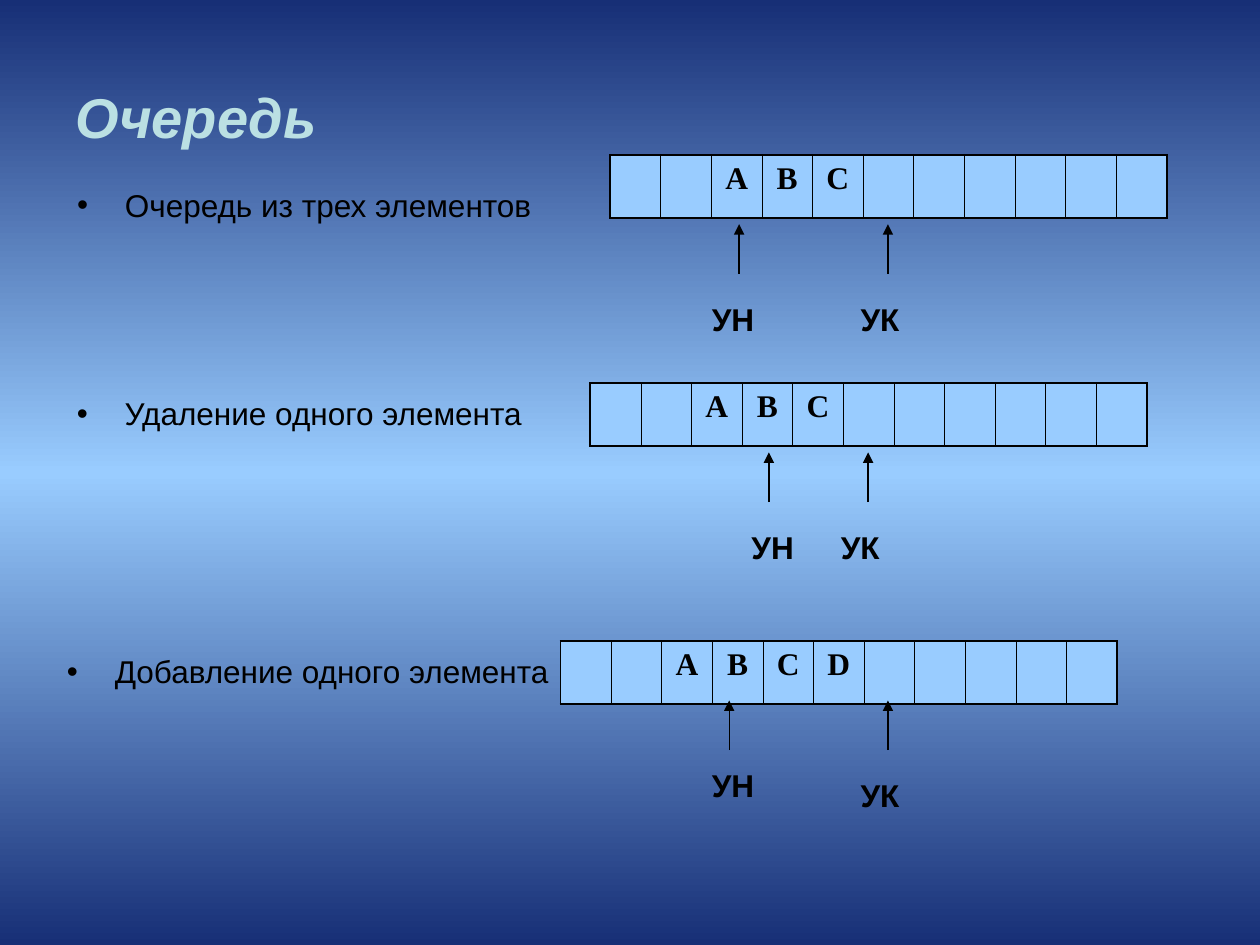
"""Build a slide that shows a queue before and after removing and adding an element."""
from dataclasses import dataclass

from lxml import etree
from pptx import Presentation
from pptx import util as u
from pptx.dml.color import RGBColor
from pptx.enum import shapes, text
from pptx.oxml import parse_xml
from pptx.oxml.ns import nsdecls, qn

BLACK = RGBColor(0x00, 0x00, 0x00)
NAVY = RGBColor(0x17, 0x2F, 0x76)
SKY = RGBColor(0x99, 0xCC, 0xFF)
PALE = RGBColor(0xBB, 0xE0, 0xE3)

GRID_CM = 0.2
ORIGIN_COL, ORIGIN_ROW = 0.5, 0.6
QUEUE_SIZE = 11
QUEUE_COLS, QUEUE_ROWS = 56.1, 6.35
BULLET_COLS, BULLET_ROWS = 53, 9
LABEL_COLS, LABEL_ROWS = 8, 5
ARROW_ROWS = 5
FIRST_FILLED = 2
THICK, THIN = u.Pt(1.08), u.Pt(0.45)


@dataclass(frozen=True)
class Pointer:
    """A labelled arrow, placed in grid columns and rows."""

    name: str
    arrow_col: int
    tip_row: int
    label_col: int
    label_row: int


@dataclass(frozen=True)
class Stage:
    """One state of the queue with its caption and pointers."""

    caption: str
    caption_at: tuple[int, int]
    queue_at: tuple[int, int]
    letters: str
    pointers: tuple[Pointer, ...]


STAGES = (
    Stage("Очередь из трех элементов", (6, 16), (61, 15), "АВС",
          (Pointer("УН", 74, 22, 70, 29), Pointer("УК", 89, 22, 85, 29))),
    Stage("Удаление одного элемента", (6, 37), (59, 38), "АВС",
          (Pointer("УН", 77, 45, 74, 52), Pointer("УК", 87, 45, 83, 52))),
    Stage("Добавление одного элемента", (5, 63), (56, 64), "АВСD",
          (Pointer("УН", 73, 70, 70, 76), Pointer("УК", 89, 70, 85, 77))),
)


def span(cells: float) -> u.Length:
    """Return the length of a number of grid cells."""
    return u.Cm(GRID_CM * cells)


def at(col: float, row: float) -> tuple[u.Length, u.Length]:
    """Return the slide position of a grid point."""
    return span(col + ORIGIN_COL), span(row + ORIGIN_ROW)


def place(shape, left, top, width, height) -> None:
    """Move and size a shape."""
    shape.left, shape.top, shape.width, shape.height = left, top, width, height


def style(paragraph, color: RGBColor = BLACK, size: int = 18, face: str = "Arial",
          bold: bool = False, italic: bool = False) -> None:
    """Format every run of a paragraph."""
    for run in paragraph.runs:
        font = run.font
        font.name, font.size, font.bold, font.italic = face, u.Pt(size), bold, italic
        font.color.rgb = color


def paint_background(slide) -> None:
    """Fill the slide with a vertical gradient, light in the middle."""
    fill = slide.background.fill
    fill.gradient()
    fill.gradient_angle = 90
    stops = slide.background._cSld.find(".//" + qn("a:gsLst"))
    for stop in list(stops):
        stops.remove(stop)
    for share, color in ((0, NAVY), (50, SKY), (100, NAVY)):
        stop = etree.SubElement(stops, qn("a:gs"), pos=str(share * 1000))
        etree.SubElement(stop, qn("a:srgbClr"), val=str(color))


def write_title(title) -> None:
    """Fill the title placeholder."""
    place(title, u.Inches(0.5), u.Inches(0.3), u.Inches(9), u.Inches(1.25))
    frame = title.text_frame
    frame.text = "Очередь"
    frame.vertical_anchor = text.MSO_ANCHOR.MIDDLE
    heading = frame.paragraphs[0]
    heading.alignment = text.PP_ALIGN.LEFT
    style(heading, PALE, 32, bold=True, italic=True)


def write_caption(holder, stage: Stage) -> None:
    """Write the bulleted caption of a stage."""
    place(holder, *at(*stage.caption_at), span(BULLET_COLS), span(BULLET_ROWS))
    frame = holder.text_frame
    frame.text = stage.caption
    frame.word_wrap = True
    frame.auto_size = text.MSO_AUTO_SIZE.NONE
    frame.vertical_anchor = text.MSO_ANCHOR.TOP
    caption = frame.paragraphs[0]
    caption.line_spacing, caption.space_before = 1.4, u.Pt(4.5)
    style(caption)
    properties = caption._p.get_or_add_pPr()
    hang = u.Inches(0.38)
    properties.set("marL", str(hang))
    properties.set("indent", str(-hang))
    bullet_color = etree.SubElement(properties, qn("a:buClr"))
    etree.SubElement(bullet_color, qn("a:srgbClr"), val=str(BLACK))
    etree.SubElement(properties, qn("a:buFont"), typeface="Arial")
    etree.SubElement(properties, qn("a:buChar"), char="•")


def set_borders(cell, column: int) -> None:
    """Draw thick outer and thin inner borders of a queue cell."""
    widths = {
        "lnL": THICK if column == 0 else THIN,
        "lnR": THICK if column == QUEUE_SIZE - 1 else THIN,
        "lnT": THICK,
        "lnB": THICK,
    }
    properties = cell._tc.get_or_add_tcPr()
    for order, (side, width) in enumerate(widths.items()):
        properties.insert(order, parse_xml(
            f'<a:{side} {nsdecls("a")} w="{width}"><a:solidFill>'
            f'<a:srgbClr val="{BLACK}"/></a:solidFill></a:{side}>'))


def draw_queue(slide, stage: Stage) -> None:
    """Draw the queue as a one-row table."""
    queue = slide.shapes.add_table(
        1, QUEUE_SIZE, *at(*stage.queue_at), span(QUEUE_COLS), span(QUEUE_ROWS)).table
    queue.first_row = queue.horz_banding = False
    for column in range(QUEUE_SIZE):
        cell = queue.cell(0, column)
        cell.fill.solid()
        cell.fill.fore_color.rgb = SKY
        set_borders(cell, column)
    for column, letter in enumerate(stage.letters, FIRST_FILLED):
        cell = queue.cell(0, column)
        cell.text_frame.text = letter
        element = cell.text_frame.paragraphs[0]
        element.alignment = text.PP_ALIGN.CENTER
        element.space_before = u.Pt(4.5)
        style(element, face="Times New Roman", bold=True)


def draw_pointer(slide, pointer: Pointer) -> None:
    """Draw an upward arrow and its label."""
    arrow = slide.shapes.add_connector(
        shapes.MSO_CONNECTOR.STRAIGHT,
        *at(pointer.arrow_col, pointer.tip_row + ARROW_ROWS),
        *at(pointer.arrow_col, pointer.tip_row))
    arrow.line.color.rgb = BLACK
    arrow.line.width = u.Pt(0.75)
    properties = arrow._element.spPr
    etree.SubElement(properties.find(qn("a:ln")), qn("a:tailEnd"), type="triangle")
    etree.SubElement(properties, qn("a:effectLst"))

    label = slide.shapes.add_textbox(
        *at(pointer.label_col, pointer.label_row), span(LABEL_COLS), span(LABEL_ROWS))
    frame = label.text_frame
    frame.text = pointer.name
    frame.word_wrap = True
    frame.auto_size = text.MSO_AUTO_SIZE.SHAPE_TO_FIT_TEXT
    frame.paragraphs[0].space_before = u.Pt(11.2)
    style(frame.paragraphs[0], bold=True)


def main() -> None:
    """Build and save the slide."""
    deck = Presentation()
    deck.slide_width, deck.slide_height = u.Inches(10), u.Inches(7.5)
    slide = deck.slides.add_slide(deck.slide_layouts[1])
    paint_background(slide)
    write_title(slide.shapes.title)
    for number, stage in enumerate(STAGES):
        holder = slide.shapes.add_textbox(0, 0, 0, 0) if number else slide.placeholders[1]
        write_caption(holder, stage)
        draw_queue(slide, stage)
        for pointer in stage.pointers:
            draw_pointer(slide, pointer)
    deck.save("out.pptx")


if __name__ == "__main__":
    main()
